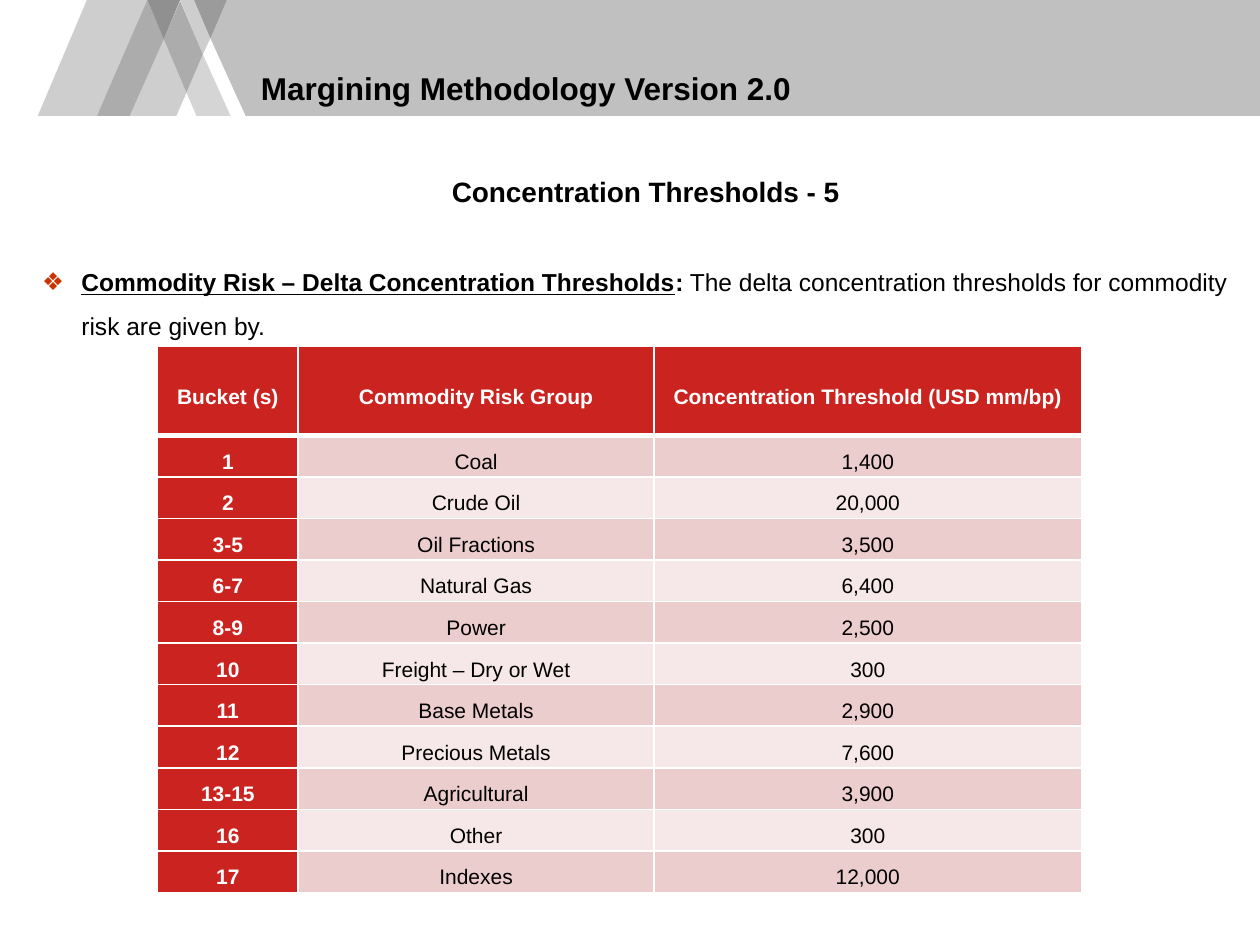
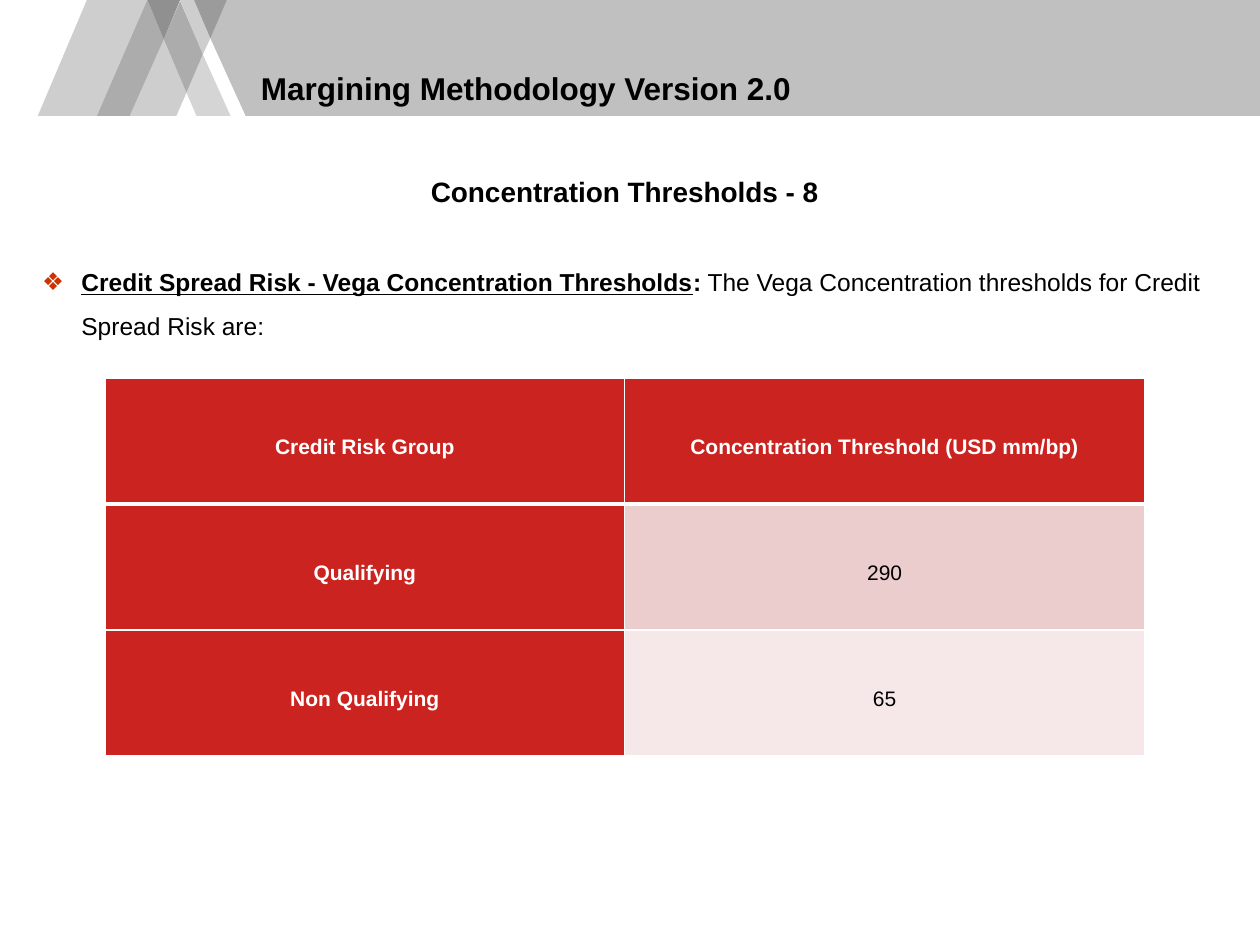
from dataclasses import dataclass

import pptx
import pptx.dml.color
import pptx.enum.text
import pptx.util
from lxml import etree
from pptx.oxml.ns import qn

Pt = pptx.util.Pt
ALIGN = pptx.enum.text.PP_ALIGN
ANCHOR = pptx.enum.text.MSO_ANCHOR


@dataclass(frozen=True)
class Theme:
    font: str = "Arial"
    ink: str = "000000"
    white: str = "FFFFFF"
    red: str = "CB2420"
    stripes: tuple = ("ECCDCD", "F6E8E8")
    bullet: str = "CC3300"
    title_size: int = 18
    heading_size: int = 16
    text_size: int = 14
    table_size: int = 12
    rule: int = 1
    header_rule: int = 3


THEME = Theme()
UNIT = pptx.util.Inches(1) / 12
COLUMNS, ROWS = 120, 90
BAND_BOX = (0, 0, COLUMNS, 11.04)
TITLE_BOX = (24.85, 0.7, 72.8, 9.5)

BAND_FACETS = [
    ("C1C0C0", [(16.7, 0.33), (19.5, 1), (100, 1), (100, 0), (17.9, 0)]),
    ("D5D5D5", [(16.1, 0.47), (14.8, 0.8), (15.6, 1), (18.3, 1)]),
    ("CECECE", [(15.4, 0), (14.3, 0), (16.1, 0.47), (16.7, 0.33)]),
    ("CECECE", [(13, 0.34), (10.3, 1), (14, 1), (14.8, 0.8)]),
    ("CECECE", [(11.7, 0), (6.9, 0), (3, 1), (7.8, 1)]),
    ("9B9B9B", [(18, 0), (15.4, 0), (16.7, 0.33)]),
    ("ACACAC", [(14.3, 0.01), (13, 0.34), (14.8, 0.8), (16.1, 0.47)]),
    ("ACACAC", [(11.7, 0), (7.7, 1), (10.3, 1), (13, 0.34)]),
    ("909090", [(14.3, 0), (11.7, 0), (13, 0.34)]),
]


def units(count):
    return pptx.util.Emu(round(count * UNIT))


def rgb(value):
    return pptx.dml.color.RGBColor.from_string(value)


def style_font(font, size, color=THEME.ink, bold=False, underline=False):
    font.name = THEME.font
    font.size = Pt(size)
    font.color.rgb = rgb(color)
    font.bold = bold
    font.underline = underline


def place(shape, box):
    shape.left, shape.top, shape.width, shape.height = map(units, box)


def clear_frame(frame, anchor):
    frame.margin_left = frame.margin_right = frame.margin_top = frame.margin_bottom = 0
    frame.word_wrap = True
    frame.auto_size = pptx.enum.text.MSO_AUTO_SIZE.NONE
    frame.vertical_anchor = anchor


def move_band_to_layout(slide, box):
    left, top, width, height = box
    layout_tree = slide.slide_layout.shapes.element
    for index, (color, corners) in enumerate(BAND_FACETS):
        points = [(units(left + x / 100 * width), units(top + y * height))
                  for x, y in corners]
        builder = slide.shapes.build_freeform(*points[0])
        builder.add_line_segments(points[1:], close=True)
        facet = builder.convert_to_shape()
        facet.fill.solid()
        facet.fill.fore_color.rgb = rgb(color)
        facet.line.fill.background()
        facet.shadow.inherit = False
        facet.element.nvSpPr.cNvPr.id = 100 + index
        layout_tree.insert(2 + index, facet.element)


def write_title(title, box):
    place(title, box)
    clear_frame(title.text_frame, ANCHOR.BOTTOM)
    title.text_frame.text = "Margining Methodology Version 2.0"
    line = title.text_frame.paragraphs[0]
    line.alignment = ALIGN.LEFT
    line.line_spacing = 1.2
    style_font(line.runs[0].font, THEME.title_size, bold=True)


def set_bullet(paragraph, char=None, indent=0):
    properties = paragraph._p.get_or_add_pPr()
    properties.set("marL", str(units(indent)))
    properties.set("indent", str(-units(indent)))
    if char is None:
        etree.SubElement(properties, qn("a:buNone"))
        return
    color = etree.SubElement(properties, qn("a:buClr"))
    etree.SubElement(color, qn("a:srgbClr"), val=THEME.bullet)
    etree.SubElement(properties, qn("a:buFont"), typeface=THEME.font)
    etree.SubElement(properties, qn("a:buChar"), char=char)


def write_body(body, box, heading_text, topic, statement):
    place(body, box)
    frame = body.text_frame
    clear_frame(frame, ANCHOR.TOP)
    frame.text = heading_text
    heading = frame.paragraphs[0]
    set_bullet(heading)
    heading.alignment = ALIGN.CENTER
    heading.line_spacing = 1.5
    heading.space_before = Pt(0)
    style_font(heading.runs[0].font, THEME.heading_size, bold=True)

    point = frame.add_paragraph()
    set_bullet(point, "❖", 3.75)
    point.alignment = ALIGN.LEFT
    point.line_spacing = 1.5
    point.space_before = Pt(25.5)
    for text, bold, underline in ((topic, True, True), (":", True, False),
                                  (" " + statement, False, False)):
        run = point.add_run()
        run.text = text
        style_font(run.font, THEME.text_size, bold=bold, underline=underline)


def rule_cell(cell, top, bottom):
    properties = cell._tc.get_or_add_tcPr()
    widths = {"L": THEME.rule, "R": THEME.rule, "T": top, "B": bottom}
    for side, width in widths.items():
        line = etree.SubElement(properties, qn(f"a:ln{side}"), w=str(Pt(width)))
        fill = etree.SubElement(line, qn("a:solidFill"))
        etree.SubElement(fill, qn("a:srgbClr"), val=THEME.white)


def fill_cell(cell, text, row, column):
    is_label = row == 0 or column == 0
    rule_cell(cell, THEME.header_rule if row == 1 else THEME.rule,
              THEME.header_rule if row == 0 else THEME.rule)
    cell.fill.solid()
    cell.fill.fore_color.rgb = rgb(THEME.red if is_label else THEME.stripes[(row - 1) % 2])
    cell.margin_left = cell.margin_right = pptx.util.Inches(0.07)
    cell.margin_top = cell.margin_bottom = 0
    cell.vertical_anchor = ANCHOR.MIDDLE
    cell.text_frame.text = text
    line = cell.text_frame.paragraphs[0]
    line.alignment = ALIGN.CENTER
    line.line_spacing = 1.5
    line.space_after = Pt(10)
    style_font(line.runs[0].font, THEME.table_size,
               THEME.white if is_label else THEME.ink, bold=is_label)


def add_thresholds(slide, box, column_widths, header_height, records):
    frame = slide.shapes.add_table(len(records), len(column_widths), *map(units, box))
    thresholds = frame.table
    thresholds.first_col = True
    row_height = (box[3] - header_height) / (len(records) - 1)
    for column, width in zip(thresholds.columns, column_widths):
        column.width = units(width)
    for index, row in enumerate(thresholds.rows):
        row.height = units(row_height if index else header_height)
    for row, record in enumerate(records):
        for column, text in enumerate(record):
            fill_cell(thresholds.cell(row, column), text, row, column)


def add_threshold_slide(deck, body_box, heading, topic, statement,
                        table_box, column_widths, header_height, records):
    slide = deck.slides.add_slide(deck.slide_layouts[1])
    write_title(slide.shapes.title, TITLE_BOX)
    write_body(slide.placeholders[1], body_box, heading, topic, statement)
    add_thresholds(slide, table_box, column_widths, header_height, records)
    return slide


COMMODITY_THRESHOLDS = [
    ("Bucket (s)", "Commodity Risk Group", "Concentration Threshold (USD mm/bp)"),
    ("1", "Coal", "1,400"),
    ("2", "Crude Oil", "20,000"),
    ("3-5", "Oil Fractions", "3,500"),
    ("6-7", "Natural Gas", "6,400"),
    ("8-9", "Power", "2,500"),
    ("10", "Freight – Dry or Wet", "300"),
    ("11", "Base Metals", "2,900"),
    ("12", "Precious Metals", "7,600"),
    ("13-15", "Agricultural", "3,900"),
    ("16", "Other", "300"),
    ("17", "Indexes", "12,000"),
]

CREDIT_THRESHOLDS = [
    ("Credit Risk Group", "Concentration Threshold (USD mm/bp)"),
    ("Qualifying", "290"),
    ("Non Qualifying", "65"),
]


def main():
    deck = pptx.Presentation()
    deck.slide_width, deck.slide_height = units(COLUMNS), units(ROWS)
    commodity = add_threshold_slide(
        deck, (4, 15, 115, 20), "Concentration Thresholds - 5",
        "Commodity Risk – Delta Concentration Thresholds",
        "The delta concentration thresholds for commodity risk are given by.",
        (15, 33, 88, 52), (13.4, 33.9, 40.7), 8.45, COMMODITY_THRESHOLDS)
    move_band_to_layout(commodity, BAND_BOX)
    add_threshold_slide(
        deck, (4, 15, 111, 21), "Concentration Thresholds - 8",
        "Credit Spread Risk - Vega Concentration Thresholds",
        "The Vega Concentration thresholds for Credit Spread Risk are:",
        (10, 36, 99, 36), (49.5, 49.5), 12, CREDIT_THRESHOLDS)
    deck.save("out.pptx")


if __name__ == "__main__":
    main()
